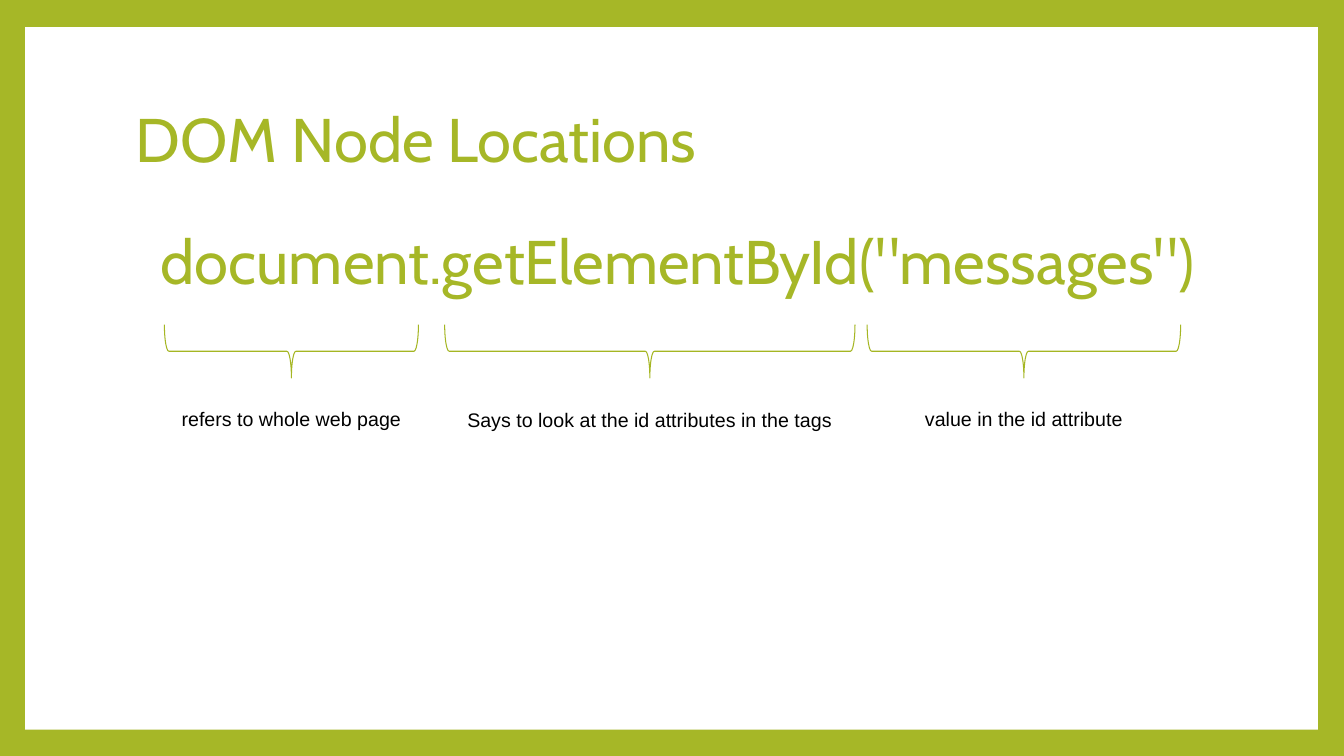
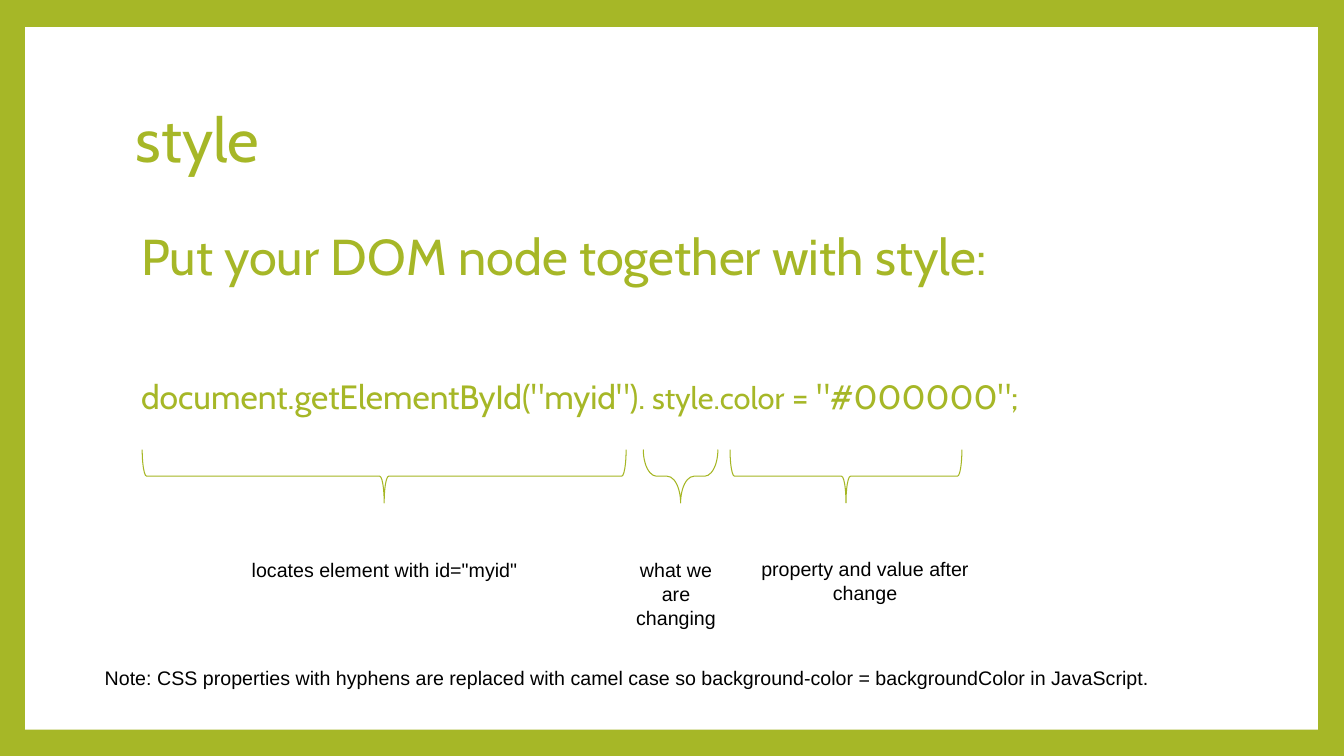
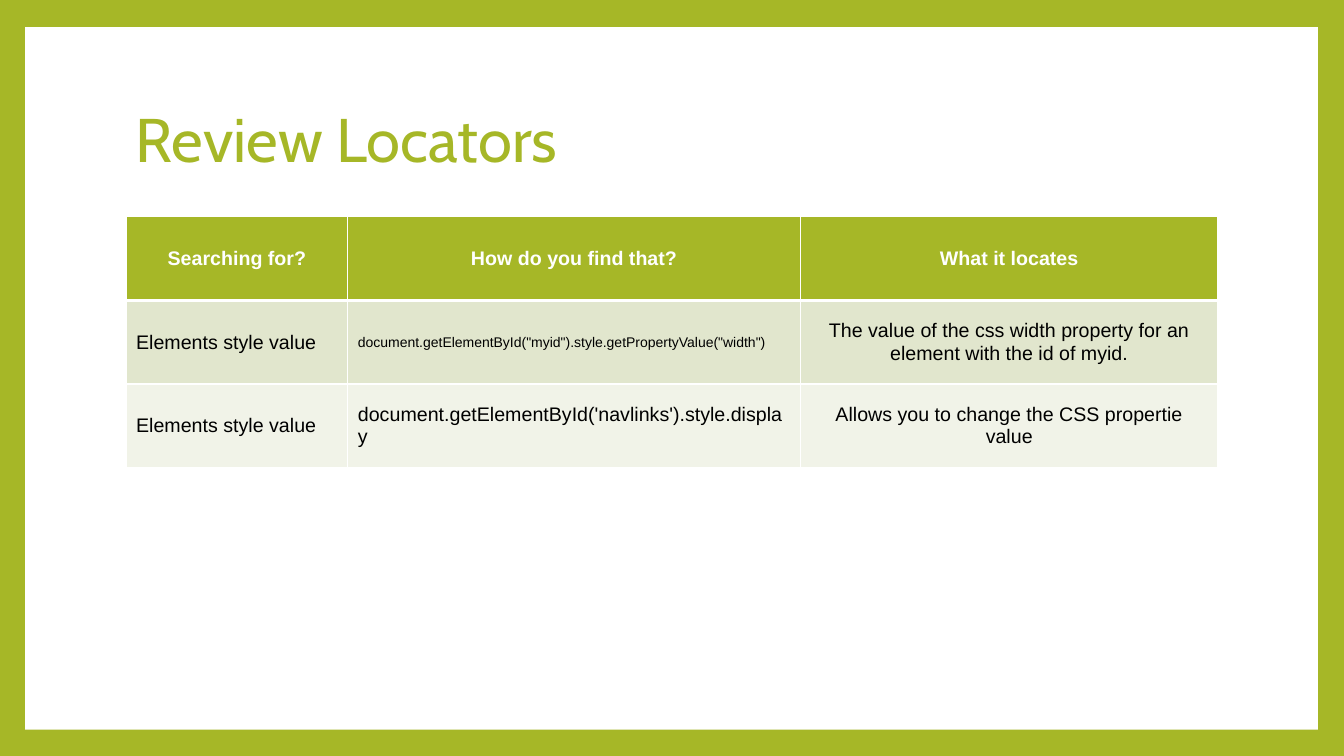
import pptx
import pptx.dml.color
import pptx.enum.shapes
import pptx.enum.text
import pptx.oxml
import pptx.oxml.ns
import pptx.util

Inches = pptx.util.Inches
Pt = pptx.util.Pt
Align = pptx.enum.text.PP_ALIGN
Anchor = pptx.enum.text.MSO_ANCHOR
Preset = pptx.enum.shapes.MSO_SHAPE

COLORS = {
    "green": "A6B727",
    "brace": "A5B623",
    "white": "FFFFFF",
    "black": "000000",
    "band_dark": "E1E6CD",
    "band_light": "F1F3E8",
}
HEADING_FONT = "Cabin"
BODY_FONT = "Arial"


def rgb(name):
    return pptx.dml.color.RGBColor.from_string(COLORS[name])


def write_text(paragraph, text, size=14, font=BODY_FONT, color="black", bold=False,
               align=Align.LEFT, line_spacing=None, space_before=None):
    """Fill a paragraph; text is a string or a list of (string, size) runs."""
    paragraph.alignment = align
    if line_spacing is not None:
        paragraph.line_spacing = line_spacing
    if space_before is not None:
        paragraph.space_before = Pt(space_before)
    runs = [(text, size)] if isinstance(text, str) else text
    for run_text, run_size in runs:
        run = paragraph.add_run()
        run.text = run_text
        run.font.size = Pt(run_size)
        run.font.name = font
        run.font.bold = bold
        run.font.color.rgb = rgb(color)


def set_borders(cell, color="white", **widths):
    """Draw cell borders; widths in points are keyed L, R, T and B."""
    properties = cell._tc.get_or_add_tcPr()
    for position, side in enumerate("LRTB"):
        width = Pt(widths.get(side, 1))
        properties.insert(position, pptx.oxml.parse_xml(
            f'<a:ln{side} {pptx.oxml.ns.nsdecls("a")} w="{width}"><a:solidFill>'
            f'<a:srgbClr val="{COLORS[color]}"/></a:solidFill></a:ln{side}>'))


class Deck:
    def __init__(self):
        self.presentation = pptx.Presentation()
        self.presentation.slide_width = Inches(13.33)
        self.presentation.slide_height = Inches(7.5)
        background = self.presentation.slide_master.background.fill
        background.solid()
        background.fore_color.rgb = rgb("green")
        self.slide = None

    def add_slide(self, title):
        self.slide = self.presentation.slides.add_slide(self.presentation.slide_layouts[6])
        panel = self.slide.shapes.add_shape(
            Preset.RECTANGLE, Inches(0.25), Inches(0.27), Inches(12.82), Inches(6.97))
        panel.shadow.inherit = False
        panel.fill.solid()
        panel.fill.fore_color.rgb = rgb("white")
        panel.line.fill.background()
        frame = self.add_frame(1.25, 0.67, 10.8, 1.48)
        frame.vertical_anchor = Anchor.MIDDLE
        write_text(frame.paragraphs[0], title, size=44, font=HEADING_FONT,
                   color="green", line_spacing=0.9)

    def add_frame(self, left, top, width, height):
        box = self.slide.shapes.add_textbox(
            Inches(left), Inches(top), Inches(width), Inches(height))
        box.text_frame.word_wrap = True
        return box.text_frame

    def add_body(self, paragraphs, indent, align=Align.LEFT):
        """Add the main text from (text, size, space before) entries."""
        frame = self.add_frame(1.25, 2.25, 10.8, 4.42)
        frame.margin_left = Inches(0.1 + indent)
        for index, (text, size, space_before) in enumerate(paragraphs):
            paragraph = frame.add_paragraph() if index else frame.paragraphs[0]
            write_text(paragraph, text, size=size, font=HEADING_FONT, color="green",
                       align=align, line_spacing=0.9, space_before=space_before)

    def add_label(self, text, left, top, width, height=0.34, align=Align.CENTER):
        frame = self.add_frame(left, top, width, height)
        write_text(frame.paragraphs[0], text, align=align)

    def add_brace(self, left, top, width, curve=None):
        """Add a brace pointing down; left, top and width are as it appears."""
        depth = 0.53
        brace = self.slide.shapes.add_shape(
            Preset.RIGHT_BRACE,
            Inches(left + (width - depth) / 2), Inches(top - (width - depth) / 2),
            Inches(depth), Inches(width))
        brace.rotation = 90
        brace.shadow.inherit = False
        brace.fill.background()
        brace.line.color.rgb = rgb("brace")
        brace.line.width = Pt(0.75)
        if curve is not None:
            brace.adjustments[0] = curve

    def add_table(self, header, rows, left, top, widths, row_height):
        """Add a table; each body row holds (text, format) pairs."""
        header_format = {"color": "white", "bold": True, "align": Align.CENTER}
        all_rows = [[(text, header_format) for text in header], *rows]
        table = self.slide.shapes.add_table(
            len(all_rows), len(widths), Inches(left), Inches(top),
            Inches(sum(widths)), Inches(row_height * len(all_rows))).table
        for column, width in zip(table.columns, widths):
            column.width = Inches(width)
        fills = ["green", "band_dark", "band_light"]
        rules = [{"B": 3}, {"T": 3}, {}]
        for row_index, row in enumerate(all_rows):
            table.rows[row_index].height = Inches(row_height)
            for column_index, (text, text_format) in enumerate(row):
                cell = table.cell(row_index, column_index)
                cell.fill.solid()
                cell.fill.fore_color.rgb = rgb(fills[row_index])
                cell.vertical_anchor = Anchor.MIDDLE
                set_borders(cell, **rules[row_index])
                write_text(cell.text_frame.paragraphs[0], text, **text_format)


def add_node_locations(deck):
    deck.add_slide("DOM Node Locations")
    deck.add_body([('document.getElementById("messages")', 44, 14)],
                  indent=0.15, align=Align.CENTER)
    parts = [
        ("refers to whole web page", 1.63, 3.99, 2.52),
        ("Says to look at the id attributes in the tags", 4.41, 4, 4.07),
        ("value in the id attribute", 8.6, 3.99, 3.11),
    ]
    for text, left, top, width in parts:
        deck.add_brace(left, 3.22, width)
        deck.add_label(text, left, top, width)


def add_style(deck):
    deck.add_slide("style")
    code = [('document.getElementById("myid").', 24), (" style.color", 22),
            (' = "#000000";', 24)]
    deck.add_body([("Put your DOM node together with style:", 36, 14), (code, 24, 67)],
                  indent=0.05)
    for left, width, curve in [(1.41, 4.8, None), (6.38, 0.74, 0.25), (7.24, 2.3, None)]:
        deck.add_brace(left, 4.46, width, curve)
    deck.add_label('locates element with id="myid"', 2.26, 5.49, 3.11)
    deck.add_label("what we are changing", 6.09, 5.49, 1.23, 0.81)
    deck.add_label("property and value after change", 7.32, 5.48, 2.52, 0.57)
    deck.add_label("Note: CSS properties with hyphens are replaced with camel case so "
                   "background-color = backgroundColor in JavaScript.",
                   0.94, 6.56, 11.11, align=Align.LEFT)


def add_review(deck):
    deck.add_slide("Review Locators")
    centered = {"align": Align.CENTER}
    rows = [
        [("Elements style value", {}),
         ('document.getElementById("myid").style.getPropertyValue("width")', {"size": 10}),
         ("The value of the css width property for an element with the id of myid.",
          centered)],
        [("Elements style value", {}),
         ("document.getElementById('navlinks').style.display", {}),
         ("Allows you to change the CSS propertie value", centered)],
    ]
    deck.add_table(["Searching for?", "How do you find that?", "What it locates"], rows,
                   left=1.25, top=2.15, widths=[2.2, 4.49, 4.14], row_height=0.83)


def main():
    deck = Deck()
    add_node_locations(deck)
    add_style(deck)
    add_review(deck)
    deck.presentation.save("out.pptx")


if __name__ == "__main__":
    main()
